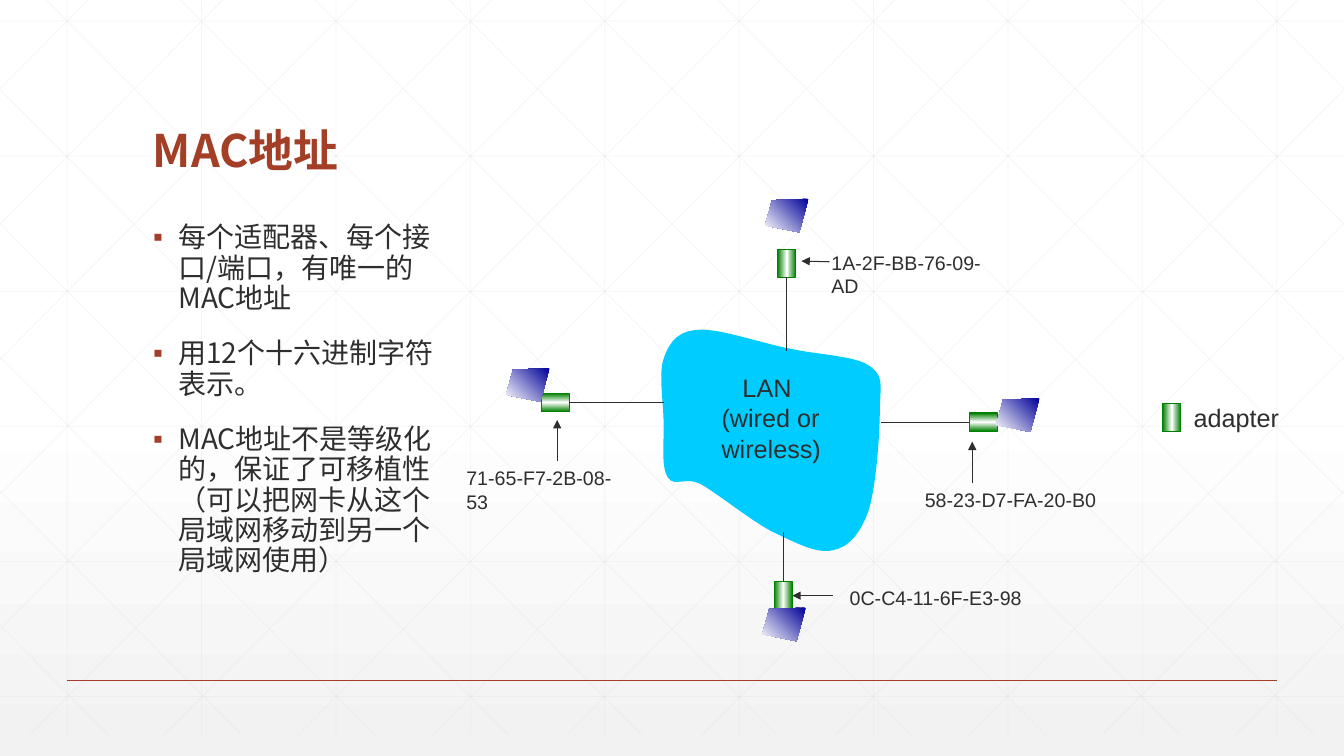
from pptx import Presentation
from pptx.dml.color import RGBColor
from pptx.enum.shapes import MSO_CONNECTOR as Connector, MSO_SHAPE as Preset
from pptx.enum.text import MSO_ANCHOR as Anchor, PP_ALIGN as Align
from pptx.oxml.ns import qn
from pptx.util import Pt
from lxml.etree import SubElement

RUST = RGBColor(0xA4, 0x3F, 0x27)
INK = RGBColor(0x2D, 0x2E, 0x2D)
GRID = RGBColor(0xD9, 0xD9, 0xD9)
CYAN = RGBColor(0x00, 0xCC, 0xFF)
GREEN = RGBColor(0x00, 0x80, 0x00)
NAVY = RGBColor(0x00, 0x00, 0x99)
WHITE = RGBColor(0xFF, 0xFF, 0xFF)
MIST = RGBColor(0xF2, 0xF2, 0xF2)

CJK = "Noto Sans CJK SC"
WIDTH, HEIGHT = 960, 540
GRID_TOP, GRID_BOTTOM, GRID_STEP = -15, 525, 96
DIAGONAL_RUN = 537

FACTS = [
    "每个适配器、每个接口/端口，有唯一的MAC地址",
    "用12个十六进制字符表示。",
    "MAC地址不是等级化的，保证了可移植性（可以把网卡从这个局域网移动到另一个局域网使用）",
]
SCREEN = [(31, 0), (5, 1), (0, 19), (24.5, 24)]
# Bezier segments: two control points and an end point each
CLOUD_START = (500.5, 235.5)
CLOUD = [
    [(485, 236), (479, 243), (474.5, 255)],
    [(470, 266), (474, 287), (474, 302)],
    [(474.5, 316), (472, 333), (477, 341)],
    [(482, 348.5), (489, 340), (501, 346)],
    [(513, 353), (536, 371.5), (551, 379.5)],
    [(567, 387), (583, 396), (595, 393)],
    [(606, 391), (614, 382), (620, 366)],
    [(626, 348.5), (628.5, 309), (628.5, 291.5)],
    [(629, 274), (631.5, 268.5), (620.5, 261)],
    [(610, 254), (584, 253.5), (564, 249)],
    [(543.5, 245), (515, 235), CLOUD_START],
]


def style_spans(para, size, color, face, bold=False):
    for span in para.runs:
        span.font.size = Pt(size)
        span.font.bold = bold
        span.font.color.rgb = color
        span.font.name = face
        if face == CJK:
            SubElement(span.font._element, qn("a:ea"), typeface=face)


def paint_gradient(fill, element, stops, clockwise):
    fill.gradient()
    fill.gradient_angle = (360 - clockwise) % 360
    stop_list = element.xpath(".//a:gsLst")[0]
    for stop in list(stop_list):
        stop_list.remove(stop)
    for percent, color in stops:
        stop = SubElement(stop_list, qn("a:gs"), pos=str(percent * 1000))
        SubElement(stop, qn("a:srgbClr"), val=str(color))


def add_line(page, start, end, color=INK, weight=0.75, opacity=100, arrow=False):
    line = page.shapes.add_connector(
        Connector.STRAIGHT, *(Pt(value) for value in (*start, *end)))
    line.line.color.rgb = color
    line.line.width = Pt(weight)
    properties = line._element.spPr
    if opacity < 100:
        tint = properties.xpath(".//a:srgbClr")[0]
        SubElement(tint, qn("a:alpha"), val=str(opacity * 1000))
    if arrow:
        SubElement(properties.find(qn("a:ln")), qn("a:tailEnd"), type="triangle")
    SubElement(properties, qn("a:effectLst"))
    return line


def add_master_line(page, start, end, color, weight, opacity=100):
    line = add_line(page, start, end, color, weight, opacity)
    tree = page.slide_layout.slide_master.shapes._spTree
    line._element.xpath(".//p:cNvPr")[0].set("id", str(100 + len(tree)))
    tree.append(line._element)


def add_grid(page):
    def grid_line(start, end):
        add_master_line(page, start, end, GRID, 0.5, 25)

    for column in range(10):
        x = 48 + GRID_STEP * column
        grid_line((x, GRID_TOP), (x, GRID_BOTTOM))
    for row in range(6):
        y = 15 + 96.5 * row
        grid_line((0, y), (WIDTH, y))
    # Diagonals, each with its mirror image, cut at the slide edge
    diagonals = []
    for step in range(10):
        x = 18 + GRID_STEP * step
        run = min(DIAGONAL_RUN, WIDTH - x)
        drop = run * (GRID_BOTTOM - GRID_TOP) / DIAGONAL_RUN
        diagonals.append(((x, GRID_TOP), (x + run, GRID_TOP + drop)))
    for step in range(5):
        diagonals.append(((0, 64 + 95.6 * step), (458.6 - 95.3 * step, GRID_BOTTOM)))
    for start, end in diagonals:
        grid_line(start, end)
        grid_line((WIDTH - start[0], start[1]), (WIDTH - end[0], end[1]))


def add_title(page, text):
    title = page.shapes.title
    title.left, title.top, title.width, title.height = Pt(102), Pt(39.6), Pt(756), Pt(90)
    title.text_frame.text = text
    title.text_frame.vertical_anchor = Anchor.BOTTOM
    para = title.text_frame.paragraphs[0]
    para.alignment = Align.LEFT
    para.line_spacing = Pt(34.5)
    style_spans(para, 32, RUST, CJK, bold=True)


def add_facts(page):
    box = page.shapes.add_textbox(Pt(102.3), Pt(156), Pt(224), Pt(300))
    frame = box.text_frame
    frame.word_wrap = True
    for index, fact in enumerate(FACTS):
        para = frame.add_paragraph() if index else frame.paragraphs[0]
        para.text = fact
        properties = para._p.get_or_add_pPr()
        properties.set("marL", str(Pt(18)))
        properties.set("indent", str(-Pt(18)))
        bullet_color = SubElement(properties, qn("a:buClr"))
        SubElement(bullet_color, qn("a:srgbClr"), val=str(RUST))
        SubElement(properties, qn("a:buFont"), typeface="Arial")
        SubElement(properties, qn("a:buChar"), char="▪")
        para.line_spacing = Pt(21.6)
        para.space_before = Pt(18 if index else 0)
        style_spans(para, 20, INK, CJK)


def add_label(page, text, left, top, width, height, size=14, wrap=False):
    box = page.shapes.add_textbox(Pt(left), Pt(top), Pt(width), Pt(height))
    box.text_frame.text = text
    box.text_frame.word_wrap = wrap
    for para in box.text_frame.paragraphs:
        style_spans(para, size, INK, "Arial")
    return box


def add_adapter(page, left, top, upright=True):
    width, height = (13, 20) if upright else (20, 13)
    adapter = page.shapes.add_shape(
        Preset.RECTANGLE, Pt(left), Pt(top), Pt(width), Pt(height))
    adapter.shadow.inherit = False
    paint_gradient(adapter.fill, adapter._element,
                   [(0, GREEN), (50, WHITE), (100, GREEN)], 0 if upright else 90)
    adapter.line.color.rgb = GREEN
    adapter.line.width = Pt(0.75)
    return adapter


def add_outline(page, points):
    builder = page.shapes.build_freeform(Pt(points[0][0]), Pt(points[0][1]))
    builder.add_line_segments([(Pt(x), Pt(y)) for x, y in points[1:]], close=True)
    outline = builder.convert_to_shape()
    outline.shadow.inherit = False
    outline.line.fill.background()
    return outline


def add_screen(page, left, top):
    screen = add_outline(page, [(left + x, top + y) for x, y in SCREEN])
    paint_gradient(screen.fill, screen._element, [(0, NAVY), (100, WHITE)], 135)


def add_cloud(page):
    cloud = add_outline(page, [CLOUD_START] + [segment[-1] for segment in CLOUD])
    cloud.fill.solid()
    cloud.fill.fore_color.rgb = CYAN
    # Bend the straight sides into curves
    for side, segment in zip(cloud._element.xpath(".//a:lnTo"), CLOUD):
        side.tag = qn("a:cubicBezTo")
        side.remove(side[0])
        for x, y in segment:
            SubElement(side, qn("a:pt"), x=str(Pt(x) - cloud.left), y=str(Pt(y) - cloud.top))


def main():
    deck = Presentation()
    deck.slide_width, deck.slide_height = Pt(WIDTH), Pt(HEIGHT)
    page = deck.slides.add_slide(deck.slide_layouts[5])

    # Backdrop
    master = deck.slide_master
    paint_gradient(master.background.fill, master._element,
                   [(0, WHITE), (53, WHITE), (100, MIST)], 90)
    add_grid(page)
    add_master_line(page, (48, 486), (912, 486), RUST, 1)

    # Text
    add_title(page, "MAC地址")
    add_facts(page)

    # Network with its four hosts: adapter place, joined side, cloud end, screen
    add_cloud(page)
    hosts = [
        ((386.5, 281, False), 3, (474.5, 287.5), (361.5, 263)),
        ((555.5, 178, True), 2, (562, 250.5), (546.5, 142)),
        ((692.5, 295, False), 1, (629, 301.5), (711.5, 284.5)),
        ((553, 415.5, True), 0, (559.5, 380), (544.5, 434)),
    ]
    for place, side, cloud_end, screen in hosts:
        adapter = add_adapter(page, *place)
        add_line(page, cloud_end, cloud_end).begin_connect(adapter, side)
        add_screen(page, *screen)
    caption = add_label(page, "LAN\n(wired or\nwireless)", 508.3, 262.5, 85.5, 72, 18)
    caption.text_frame.paragraphs[0]._p.get_or_add_pPr().set("marL", str(Pt(15)))

    # Addresses and their arrows
    add_label(page, "71-65-F7-2B-08-53", 326, 329.5, 132, 24, wrap=True)
    add_label(page, "1A-2F-BB-76-09-AD", 586.8, 175.5, 138, 24, wrap=True)
    add_label(page, "58-23-D7-FA-20-B0", 653.5, 345, 137, 24)
    add_label(page, "0C-C4-11-6F-E3-98", 599.8, 415, 137.5, 24)
    add_line(page, (398, 329), (398, 300), arrow=True)
    add_line(page, (592.5, 187), (572.5, 186.5), arrow=True)
    add_line(page, (694.5, 345), (694.5, 315.5), arrow=True)
    add_line(page, (595, 425.5), (566, 425.5), arrow=True).end_connect(adapter, 3)

    # Legend
    add_adapter(page, 830.5, 288)
    add_label(page, "adapter", 845.5, 283.5, 75.5, 29, 18)

    deck.save("out.pptx")


if __name__ == "__main__":
    main()
